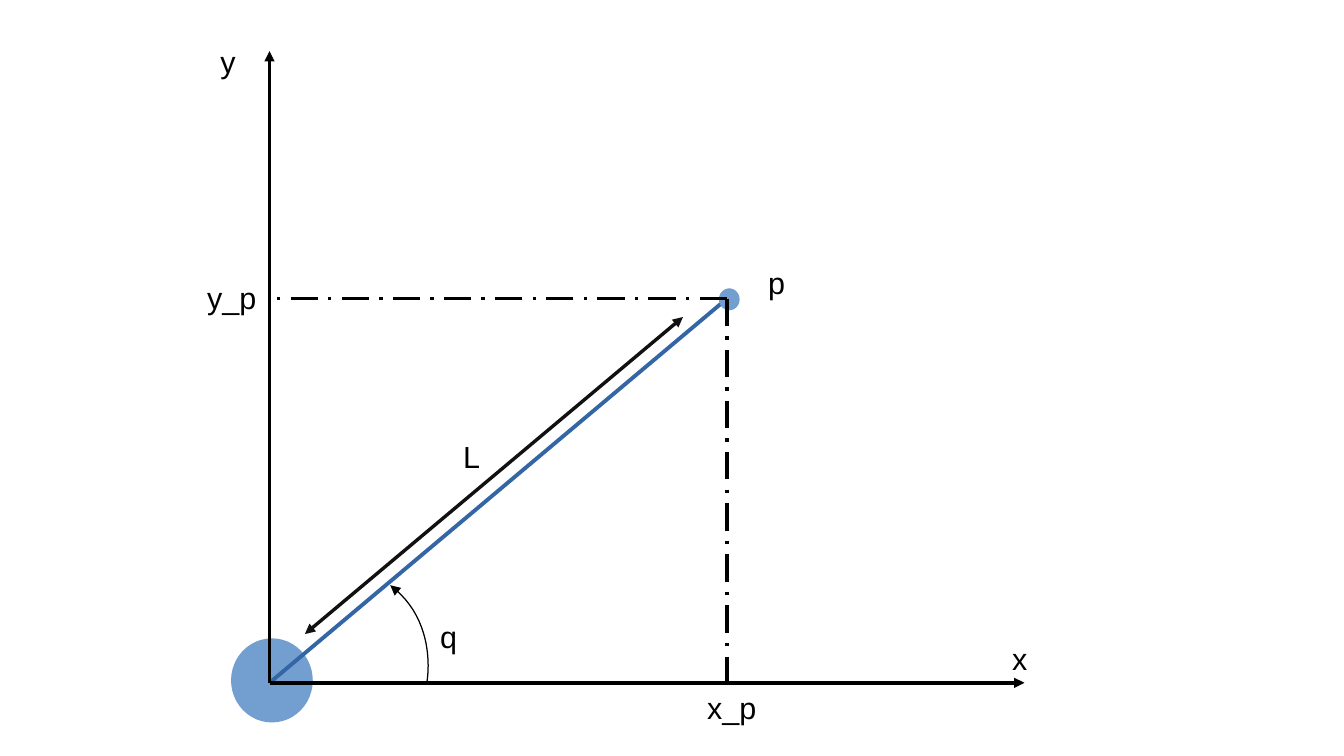
from collections import namedtuple

from lxml import etree
from pptx import Presentation
from pptx.dml.color import RGBColor
from pptx.enum.dml import MSO_LINE
from pptx.enum.shapes import MSO_CONNECTOR, MSO_SHAPE
from pptx.oxml.ns import qn
from pptx.util import Pt

PX = 9144
BLACK = RGBColor(0x00, 0x00, 0x00)
CHARCOAL = RGBColor(0x11, 0x11, 0x11)
SKY = RGBColor(0x72, 0x9F, 0xCF)
ARM_BLUE = RGBColor(0x34, 0x65, 0xA4)
STRAIGHT = MSO_CONNECTOR.STRAIGHT
OVAL = MSO_SHAPE.OVAL
DASH_DOT = MSO_LINE.LONG_DASH_DOT
ARC_STEPS = 24

Box = namedtuple("Box", "left top width height")


def add_arrows(line_shape, ends):
    """Put triangle heads on the named ends of a line."""
    outline = line_shape.line._get_or_add_ln()
    for end in ends:
        etree.SubElement(outline, qn(f"a:{end}")).set("type", "triangle")


def add_line(page, start, finish, color=BLACK, width=0, dash=None, ends=()):
    """Draw a straight line between two points."""
    points = [value * PX for value in (*start, *finish)]
    line_shape = page.shapes.add_connector(STRAIGHT, *points)
    line_shape.line.color.rgb = color
    line_shape.line.width = Pt(width)
    if dash is not None:
        line_shape.line.dash_style = dash
    add_arrows(line_shape, ends)
    etree.SubElement(line_shape._element.spPr, qn("a:effectLst"))


def add_disc(page, left, top, width, height):
    """Draw a filled joint."""
    disc = page.shapes.add_shape(OVAL, left * PX, top * PX, width * PX, height * PX)
    disc.shadow.inherit = False
    disc.fill.solid()
    disc.fill.fore_color.rgb = SKY
    disc.line.color.rgb = SKY
    disc.line.width = 0


def add_label(page, text, left, top, width=50, height=38):
    """Write one label."""
    label = page.shapes.add_textbox(left * PX, top * PX, width * PX, height * PX)
    label.text_frame.word_wrap = True
    span = label.text_frame.paragraphs[0].add_run()
    span.text = text
    span.font.name = "Arial"
    span.font.size = Pt(18)
    span.font.color.rgb = BLACK


def add_curve(page, controls):
    """Draw a cubic curve with an arrowhead at its start."""
    points = []
    for step in range(ARC_STEPS + 1):
        t = step / ARC_STEPS
        weights = ((1 - t) ** 3, 3 * t * (1 - t) ** 2, 3 * t * t * (1 - t), t ** 3)
        points.append(tuple(
            round(PX * sum(weight * control[axis] for weight, control in zip(weights, controls)))
            for axis in (0, 1)))
    builder = page.shapes.build_freeform(*points[0])
    builder.add_line_segments(points[1:], close=False)
    curve = builder.convert_to_shape()
    curve.shadow.inherit = False
    curve.fill.background()
    curve.line.color.rgb = BLACK
    curve.line.width = 0
    add_arrows(curve, ["headEnd"])


def draw_arm(page, box):
    """Draw the arm across the box with its base and tip joints."""
    base = (box.left, box.top + box.height)
    tip = (box.left + box.width, box.top)
    add_disc(page, base[0] - 31, base[1] - 36, 66, 68)
    add_line(page, base, tip, ARM_BLUE, 2.3)
    add_disc(page, tip[0] - 6, tip[1] - 8, 16, 17)
    add_label(page, "p", tip[0] + 24, tip[1] - 33)


def draw_axes(page, box):
    """Draw the x and y axes along the edges of the box."""
    bottom, right = box.top + box.height, box.left + box.width
    origin = (box.left, bottom)
    for finish in ((box.left, box.top), (right, bottom)):
        add_line(page, origin, finish, ends=["tailEnd"])
    add_label(page, "y", box.left - 50, box.top - 12)
    add_label(page, "x", right - 20, bottom - 40)


def draw_projections(page, box):
    """Drop dashed lines from the tip to both axes."""
    bottom, right = box.top + box.height, box.left + box.width
    for finish in ((box.left, box.top), (right, bottom)):
        add_line(page, (right, box.top), finish, dash=DASH_DOT)
    add_label(page, "x_p", right - 26, bottom, 100, 66)
    add_label(page, "y_p", box.left - 61, box.top - 21, 90, 66)


def draw_measures(page, box):
    """Mark the arm length L and the joint angle q."""
    left, bottom = box.left, box.top + box.height
    add_label(page, "L", left + 149, bottom - 206, 100, 66)
    add_line(page, (left + 29, bottom - 40), (left + 339, bottom - 300),
             CHARCOAL, ends=["headEnd", "tailEnd"])
    add_label(page, "q", left + 130, bottom - 58)
    offsets = ((99, 80), (139, 50), (129, 0), (129, 0))
    add_curve(page, [(left + across, bottom - up) for across, up in offsets])


def main():
    """Build the slide and save it."""
    deck = Presentation()
    deck.slide_width, deck.slide_height = 1102 * PX, 620 * PX
    page = deck.slides.add_slide(deck.slide_layouts[6])
    reach = Box(221, 245, 375, 315)
    draw_arm(page, reach)
    draw_axes(page, Box(221, 42, 619, 518))
    draw_projections(page, reach)
    draw_measures(page, reach)
    deck.save("out.pptx")


if __name__ == "__main__":
    main()
